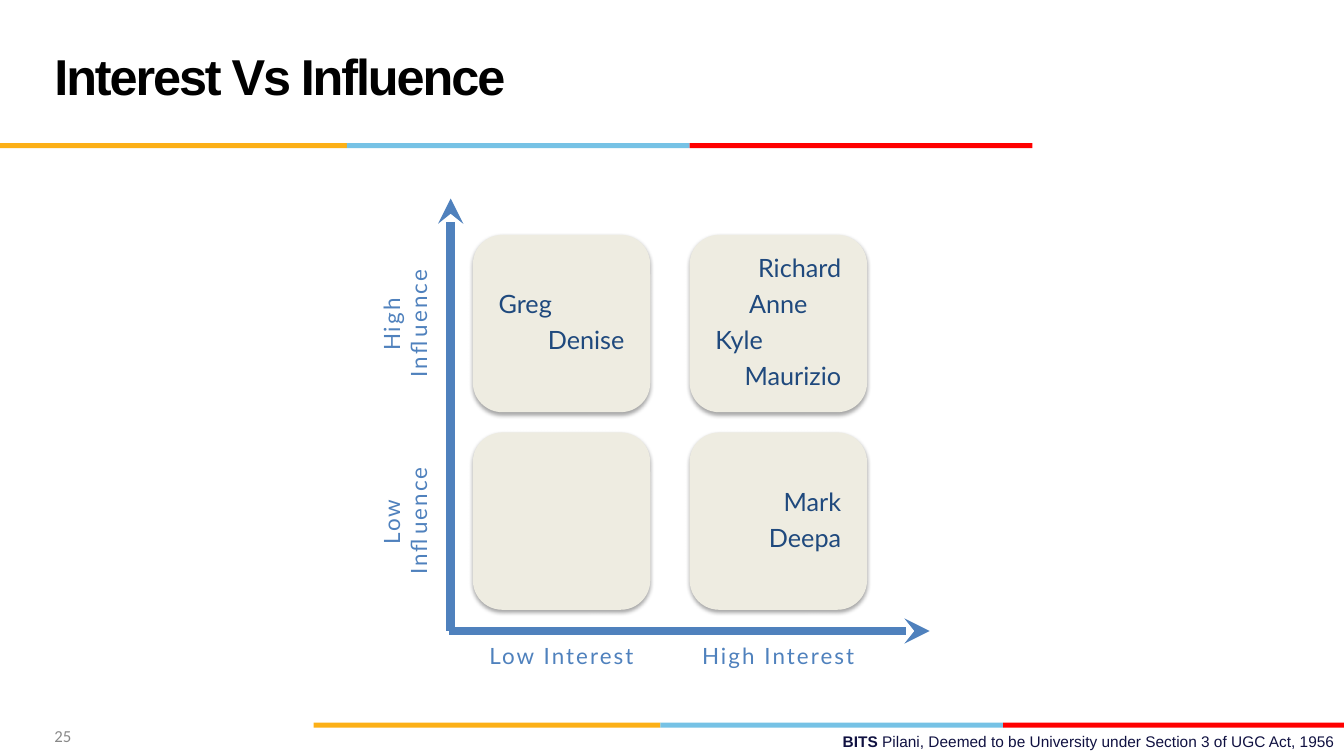
from lxml import etree
from pptx import Presentation
from pptx.dml.color import RGBColor
from pptx.enum.shapes import MSO_CONNECTOR, MSO_SHAPE
from pptx.enum.text import MSO_ANCHOR, MSO_AUTO_SIZE, PP_ALIGN
from pptx.oxml import parse_xml
from pptx.oxml.ns import nsdecls, qn
from pptx.util import Inches, Pt

LEFT, CENTER, RIGHT = PP_ALIGN.LEFT, PP_ALIGN.CENTER, PP_ALIGN.RIGHT
MIDDLE, BOTTOM = MSO_ANCHOR.MIDDLE, MSO_ANCHOR.BOTTOM
RECT, ROUNDED = MSO_SHAPE.RECTANGLE, MSO_SHAPE.ROUNDED_RECTANGLE
STRAIGHT = MSO_CONNECTOR.STRAIGHT

YELLOW = RGBColor(0xFC, 0xB0, 0x17)
SKY = RGBColor(0x76, 0xC2, 0xE5)
RED = RGBColor(0xFF, 0x00, 0x00)
BLACK = RGBColor(0x00, 0x00, 0x00)
INDIGO = RGBColor(0x10, 0x11, 0x41)
GRAY = RGBColor(0x89, 0x89, 0x89)
BLUE = RGBColor(0x4F, 0x81, 0xBD)
NAVY = RGBColor(0x1F, 0x49, 0x7D)
CREAM = RGBColor(0xEE, 0xEC, 0xE1)

# One entry per quadrant, by row from high to low influence
STAKEHOLDERS = [
    [[("Greg", LEFT), ("Denise", RIGHT)],
     [("Richard", RIGHT), ("Anne", CENTER), ("Kyle", LEFT), ("Maurizio", RIGHT)]],
    [[], [("Mark", RIGHT), ("Deepa", RIGHT)]],
]


def add_run(p, text, font, size, color, bold=False, spacing=None):
    """Add a run; spacing is the letter spacing in points."""
    r = p.add_run()
    r.text = text
    r.font.name, r.font.size, r.font.bold = font, Pt(size), bold
    r.font.color.rgb = color
    if spacing is not None:
        r.font._element.set("spc", str(round(spacing * 100)))


def add_text_box(s, x, y, w, h, anchor=MIDDLE, align=LEFT):
    """Add an empty text box and return it with its first paragraph."""
    box = s.shapes.add_textbox(Inches(x), Inches(y), Inches(w), Inches(h))
    tf = box.text_frame
    tf.word_wrap = True
    tf.vertical_anchor = anchor
    p = tf.paragraphs[0]
    p.alignment = align
    return box, p


def add_stripe(s, x, y):
    for width, color in ((3.44, YELLOW), (3.4, SKY), (3.4, RED)):
        sp = s.shapes.add_shape(RECT, Inches(x), Inches(y), Inches(width), Inches(0.05))
        sp.shadow.inherit = False
        sp.fill.solid()
        sp.fill.fore_color.rgb = color
        sp.line.fill.background()
        x += width


def add_title(s, x, y, w, h):
    sp = s.shapes.title
    sp.left, sp.top, sp.width, sp.height = (Inches(v) for v in (x, y, w, h))
    tf = sp.text_frame
    tf.auto_size = MSO_AUTO_SIZE.NONE
    tf.vertical_anchor = MIDDLE
    p = tf.paragraphs[0]
    p.alignment, p.line_spacing = LEFT, Pt(36)
    add_run(p, "Interest Vs Influence", "Arial", 36, BLACK, True, -1.5)


def add_footer(s, x, y, w, h):
    add_stripe(s, 3.11, 7.17)
    _, p = add_text_box(s, x, y, w, h, MSO_ANCHOR.TOP, RIGHT)
    add_run(p, "BITS ", "Arial", 11, INDIGO, True)
    add_run(p, "Pilani, Deemed to be University under Section 3 of UGC Act, 1956",
            "Arial", 11, INDIGO)
    _, p = add_text_box(s, 0.44, 7.1, 3.11, 0.4)
    add_run(p, "25", "Calibri", 12, GRAY)


def add_quadrant(s, x, y, size, people):
    sp = s.shapes.add_shape(ROUNDED, Inches(x), Inches(y), Inches(size), Inches(size))
    sp.fill.solid()
    sp.fill.fore_color.rgb = CREAM
    sp.line.fill.background()
    sp._element.spPr.append(parse_xml(
        f'<a:effectLst {nsdecls("a")}>'
        '<a:outerShdw blurRad="39370" dist="22860" dir="5400000" rotWithShape="0">'
        '<a:srgbClr val="000000"><a:alpha val="35000"/></a:srgbClr>'
        '</a:outerShdw></a:effectLst>'))
    tf = sp.text_frame
    tf.word_wrap = True
    tf.vertical_anchor = MIDDLE
    tf.margin_left = tf.margin_right = tf.margin_top = tf.margin_bottom = Inches(0.17)
    for i, (name, align) in enumerate(people):
        p = tf.add_paragraph() if i else tf.paragraphs[0]
        p.alignment, p.line_spacing, p.space_after = align, 0.9, Pt(6.3)
        add_run(p, name, "Lato", 18, NAVY)


def add_axis_label(s, x, y, w, text, anchor=MIDDLE, rotation=0):
    box, p = add_text_box(s, x, y, w, 0.44, anchor, CENTER)
    box.rotation = rotation
    box.text_frame.margin_top = box.text_frame.margin_bottom = Inches(0.08)
    add_run(p, text, "Lato", 16, BLUE, spacing=1.5)


def add_axis(s, x1, y1, x2, y2):
    c = s.shapes.add_connector(STRAIGHT, Inches(x1), Inches(y1), Inches(x2), Inches(y2))
    c.line.color.rgb = BLUE
    c.line.width = Pt(6)
    etree.SubElement(c.line._get_or_add_ln(), qn("a:tailEnd"), type="stealth")
    etree.SubElement(c._element.spPr, qn("a:effectLst"))


def add_matrix(s, x, y, size=1.76, col_step=2.15, row_step=1.96):
    """Draw the quadrants from (x, y), with axes and labels on the left and below."""
    for row, cells in enumerate(STAKEHOLDERS):
        for col, people in enumerate(cells):
            add_quadrant(s, x + col * col_step, y + row * row_step, size, people)
    for col, text in enumerate(("Low Interest", "High Interest")):
        add_axis_label(s, x + col * col_step, y + 3.95, size, text)
    for row, (text, w) in enumerate((("High Influence", 1.76), ("Low Influence", 1.62))):
        add_axis_label(s, x - 0.55 - w / 2, y + 0.66 + row * row_step, w, text,
                       BOTTOM, 270)
    base = y + 3.93
    add_axis(s, x - 0.24, base, x + 4.53, base)
    add_axis(s, x - 0.22, base, x - 0.22, y - 0.36)


def main():
    prs = Presentation()
    prs.slide_width, prs.slide_height = Inches(13.33), Inches(7.5)
    s = prs.slides.add_slide(prs.slide_layouts[5])
    add_title(s, 0.44, 0.17, 9.22, 1.25)
    add_stripe(s, 0, 1.42)
    add_matrix(s, 4.69, 2.33)
    add_footer(s, 4.78, 7.21, 8.56, 0.29)
    prs.save("out.pptx")


if __name__ == "__main__":
    main()
